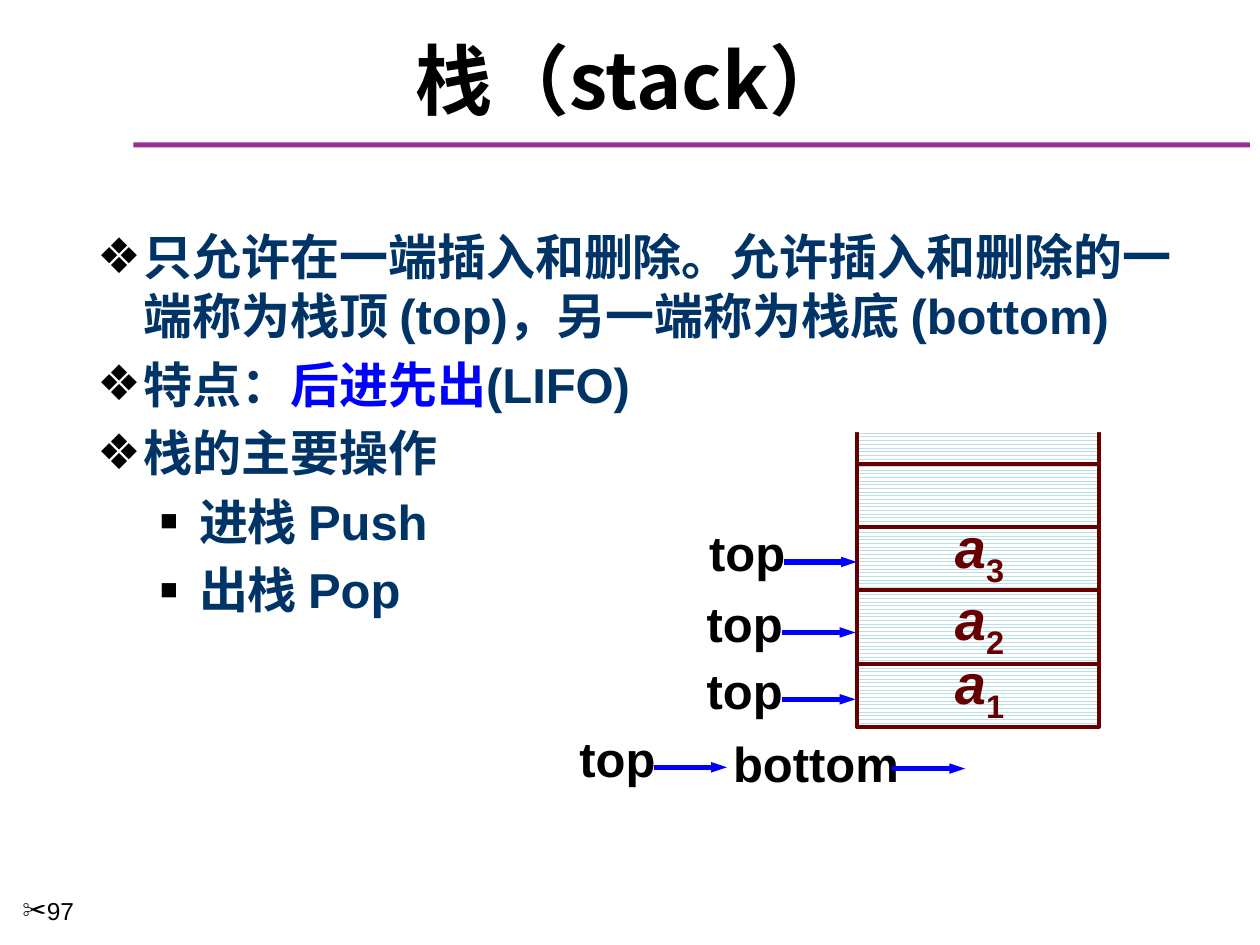
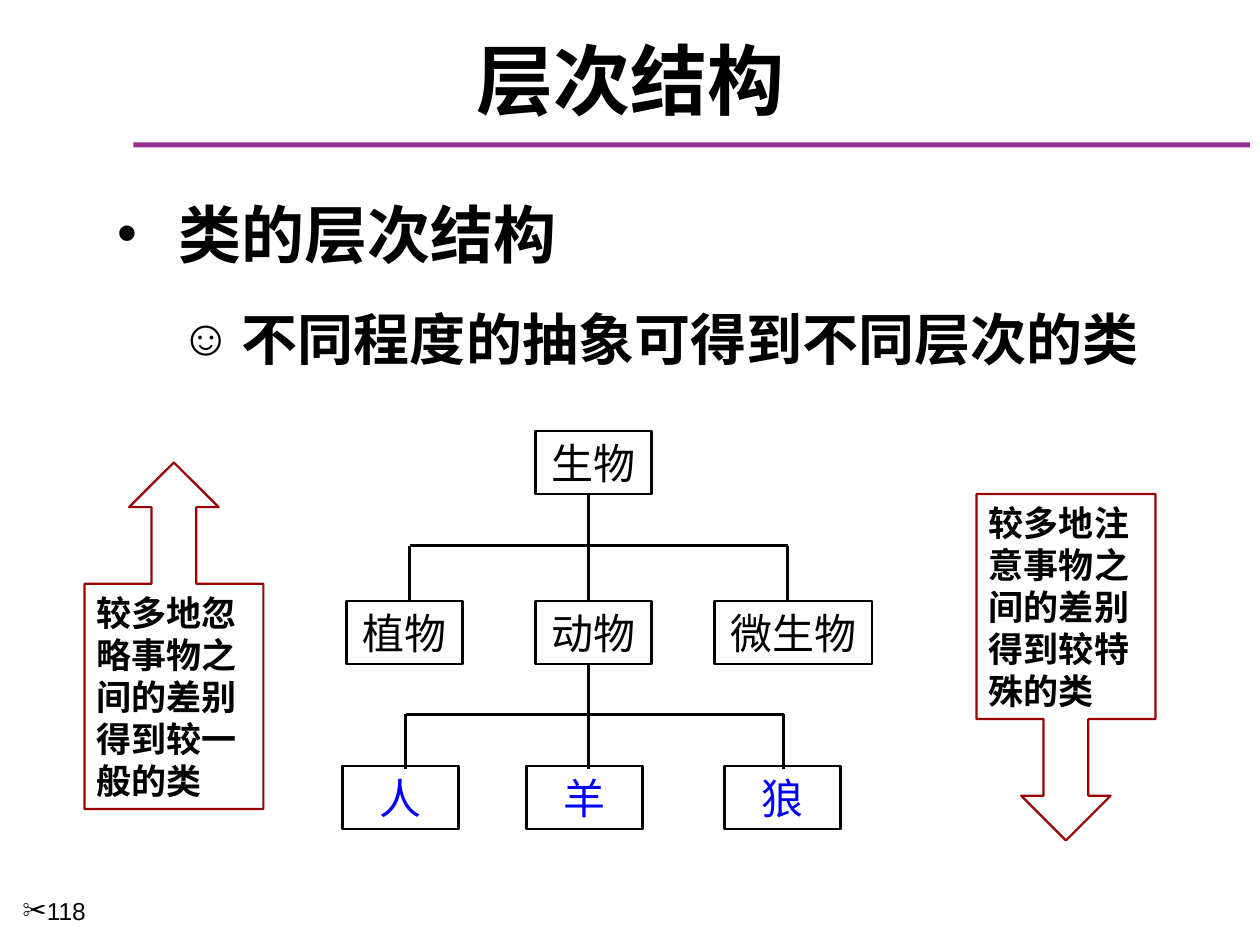
from dataclasses import dataclass

import pptx
import pptx.dml.color
import pptx.enum.dml
import pptx.enum.shapes
import pptx.enum.text
import pptx.oxml
import pptx.oxml.ns
import pptx.util
from pptx.util import Inches

COLORS = {
    "black": "000000",
    "white": "FFFFFF",
    "rule": "973095",
    "navy": "003366",
    "blue": "0000FF",
    "maroon": "660000",
    "pattern": "BBE0E3",
    "callout": "990000",
}
LATIN = "Arial"
HAN = "Noto Sans CJK SC"
LINE_FACTOR = 1.2
SHAPES = pptx.enum.shapes.MSO_SHAPE
ANCHOR = pptx.enum.text.MSO_ANCHOR
ALIGN = pptx.enum.text.PP_ALIGN


@dataclass
class Span:
    text: str
    size: float
    color: str = "black"
    font: str = LATIN
    bold: bool = True
    italic: bool = False
    subscript: bool = False


@dataclass
class Bullet:
    char: str
    percent: int
    margin: float
    hanging: float
    level: int = 0


@dataclass
class Item:
    bullet: Bullet
    spans: list[Span]
    before: float


@dataclass
class Node:
    text: str
    left: float
    top: float
    width: float = 0.92
    color: str = "black"


@dataclass
class Branch:
    top: float
    bar: float
    bottom: float
    columns: tuple[float, float, float]


@dataclass
class Pointer:
    text: str
    left: float
    top: float
    start: float
    level: float


def rgb(name: str) -> pptx.dml.color.RGBColor:
    return pptx.dml.color.RGBColor.from_string(COLORS[name])


def add_child(parent, tag: str, **attributes):
    child = pptx.oxml.parse_xml(f'<a:{tag} {pptx.oxml.ns.nsdecls("a")}/>')
    for key, value in attributes.items():
        child.set(key, value)
    parent.append(child)
    return child


def fill_paragraph(para, spans: list[Span]) -> None:
    for span in spans:
        run = para.add_run()
        run.text = span.text
        font = run.font
        font.name, font.size = span.font, pptx.util.Pt(span.size)
        font.bold, font.italic = span.bold, span.italic
        font.color.rgb = rgb(span.color)
        properties = run._r.get_or_add_rPr()
        add_child(properties, "ea", typeface=HAN)
        if span.subscript:
            properties.set("baseline", "-25000")


def set_bullet(para, bullet: Bullet) -> None:
    para.level = bullet.level
    properties = para._p.get_or_add_pPr()
    properties.set("marL", str(Inches(bullet.margin)))
    properties.set("indent", str(Inches(-bullet.hanging)))
    color = add_child(properties, "buClr")
    add_child(color, "srgbClr", val=COLORS["black"])
    add_child(properties, "buSzPct", val=str(bullet.percent * 1000))
    add_child(properties, "buFont", typeface=LATIN)
    add_child(properties, "buChar", char=bullet.char)


def set_line_height(para, size: float) -> None:
    para.line_spacing = pptx.util.Pt(size * LINE_FACTOR)


def place(shape, left: float, top: float, width: float, height: float) -> None:
    shape.left, shape.top = Inches(left), Inches(top)
    shape.width, shape.height = Inches(width), Inches(height)


def add_text(page, left: float, top: float, width: float, height: float, spans: list[Span]):
    box = page.shapes.add_textbox(Inches(left), Inches(top), Inches(width), Inches(height))
    box.text_frame.word_wrap = False
    para = box.text_frame.paragraphs[0]
    fill_paragraph(para, spans)
    return para


def add_block(page, kind, left: float, top: float, width: float, height: float,
              fill: str = "", line: str = "", weight: float = 1):
    shape = page.shapes.add_shape(kind, Inches(left), Inches(top), Inches(width), Inches(height))
    shape.shadow.inherit = False
    if fill:
        shape.fill.solid()
        shape.fill.fore_color.rgb = rgb(fill)
    else:
        shape.fill.background()
    if line:
        shape.line.color.rgb = rgb(line)
        shape.line.width = pptx.util.Pt(weight)
    else:
        shape.line.fill.background()
    return shape


def label_block(shape, span: Span, align, wrap: bool) -> None:
    frame = shape.text_frame
    frame.word_wrap = wrap
    frame.vertical_anchor = ANCHOR.MIDDLE
    para = frame.paragraphs[0]
    para.alignment = align
    fill_paragraph(para, [span])
    set_line_height(para, span.size)


def add_line(page, start: tuple[float, float], end: tuple[float, float],
             color: str, weight: float, arrow: bool = False) -> None:
    line = page.shapes.add_connector(
        pptx.enum.shapes.MSO_CONNECTOR.STRAIGHT, *map(Inches, start + end))
    line.line.color.rgb = rgb(color)
    line.line.width = pptx.util.Pt(weight)
    if arrow:
        add_child(line.line._get_or_add_ln(), "tailEnd", type="triangle", w="sm", len="med")
    add_child(line._element.spPr, "effectLst")


def add_page(deck, title: str, number: str):
    page = deck.slides.add_slide(deck.slide_layouts[1])
    add_block(page, SHAPES.RECTANGLE, 1.06, 1.13, 8.86, 0.04, fill="rule")
    heading = page.shapes.title
    place(heading, 0.17, 0.25, 9.67, 0.75)
    frame = heading.text_frame
    frame.auto_size = pptx.enum.text.MSO_AUTO_SIZE.NONE
    frame.vertical_anchor = ANCHOR.MIDDLE
    frame.paragraphs[0].alignment = ALIGN.CENTER
    fill_paragraph(frame.paragraphs[0], [Span(title, 44, font=HAN)])
    footer = add_text(page, 0.08, 7.06, 1.08, 0.44, [Span(number, 14, bold=False)])
    set_bullet(footer, Bullet("✂", 100, 0, 0))
    return page


def fill_list(page, area: tuple[float, float, float, float], items: list[Item]) -> None:
    body = page.placeholders[1]
    place(body, *area)
    frame = body.text_frame
    frame.auto_size = pptx.enum.text.MSO_AUTO_SIZE.NONE
    for index, item in enumerate(items):
        para = frame.add_paragraph() if index else frame.paragraphs[0]
        set_bullet(para, item.bullet)
        fill_paragraph(para, item.spans)
        para.space_before = pptx.util.Pt(item.before if index else 0)
        set_line_height(para, item.spans[0].size)


def build_stack(deck) -> None:
    page = add_page(deck, "栈（stack）", "97")
    diamond = Bullet("❖", 100, 0.37, 0.37)
    square = Bullet("■", 60, 0.81, 0.31, 1)
    entries = [
        (diamond, [("只允许在一端插入和删除。允许插入和删除的一端称为栈顶 (top)，另一端称为栈底 (bottom)", "navy")]),
        (diamond, [("特点：", "navy"), ("后进先出", "blue"), ("(LIFO)", "navy")]),
        (diamond, [("栈的主要操作", "navy")]),
        (square, [("进栈 Push", "navy")]),
        (square, [("出栈 Pop", "navy")]),
    ]
    fill_list(page, (0.67, 1.75, 8.75, 3.25), [
        Item(bullet, [Span(text, 28, color) for text, color in parts], 5.6)
        for bullet, parts in entries])

    left, right = 6.8, 8.72
    stack = add_block(page, SHAPES.RECTANGLE, left, 3.35, right - left, 2.42,
                      line="maroon", weight=2.25)
    stack.fill.patterned()
    stack.fill.pattern = pptx.enum.dml.MSO_PATTERN.ZIG_ZAG
    stack.fill.fore_color.rgb = rgb("pattern")
    stack.fill.back_color.rgb = rgb("white")
    add_block(page, SHAPES.RECTANGLE, 6.39, 3.18, 2.42, 0.25, fill="white")
    for divider in (3.68, 4.18, 4.68, 5.27):
        add_line(page, (left, divider), (right, divider), "maroon", 2.25)
    for index, top in enumerate((5.1, 4.59, 4.02), start=1):
        add_text(page, 7.48, top, 0.62, 0.64, [
            Span("a", 32, "maroon", italic=True),
            Span(str(index), 32, "maroon", subscript=True)])

    pointers = [
        Pointer("top", 5.53, 4.1, 6.22, 4.46),
        Pointer("top", 5.51, 4.66, 6.21, 5.02),
        Pointer("top", 5.51, 5.19, 6.21, 5.55),
        Pointer("top", 4.5, 5.73, 5.19, 6.09),
        Pointer("bottom", 5.72, 5.77, 7.08, 6.1),
    ]
    for pointer in pointers:
        width = 0.81 if pointer.text == "top" else 1.53
        add_text(page, pointer.left, pointer.top, width, 0.57, [Span(pointer.text, 28)])
        add_line(page, (pointer.start, pointer.level), (pointer.start + 0.58, pointer.level),
                 "blue", 3, arrow=True)


def build_hierarchy(deck) -> None:
    page = add_page(deck, "层次结构", "118")
    fill_list(page, (0.83, 1.5, 8.42, 5.42), [
        Item(Bullet("•", 90, 0.49, 0.49), [Span("类的层次结构", 36, font=HAN)], 0),
        Item(Bullet("☺", 90, 0.99, 0.49, 1),
             [Span("不同程度的抽象可得到不同层次的类", 32, font=HAN)], 19.2),
    ])

    nodes = [
        Node("生物", 4.25, 3.42),
        Node("植物", 2.75, 4.77),
        Node("动物", 4.25, 4.77),
        Node("微生物", 5.67, 4.77, width=1.25),
        Node("人", 2.72, 6.08, color="blue"),
        Node("羊", 4.18, 6.08, color="blue"),
        Node("狼", 5.75, 6.08, color="blue"),
    ]
    for node in nodes:
        box = add_block(page, SHAPES.RECTANGLE, node.left, node.top, node.width, 0.5,
                        line="black", weight=1.5)
        label_block(box, Span(node.text, 24, node.color, bold=False), ALIGN.CENTER, False)

    branches = [
        Branch(3.91, 4.33, 4.77, (3.25, 4.67, 6.25)),
        Branch(5.27, 5.67, 6.1, (3.22, 4.67, 6.22)),
    ]
    for branch in branches:
        first, trunk, last = branch.columns
        add_line(page, (first, branch.bar), (last, branch.bar), "black", 1.5)
        add_line(page, (trunk, branch.top), (trunk, branch.bar), "black", 1.5)
        for column in branch.columns:
            add_line(page, (column, branch.bar), (column, branch.bottom), "black", 1.5)

    callouts = [
        (SHAPES.UP_ARROW_CALLOUT, 0.67, 3.67, "较多地忽略事物之间的差别得到较一般的类"),
        (SHAPES.DOWN_ARROW_CALLOUT, 7.75, 3.92, "较多地注意事物之间的差别得到较特殊的类"),
    ]
    for kind, left, top, text in callouts:
        callout = add_block(page, kind, left, top, 1.42, 2.75, line="callout", weight=1.25)
        label_block(callout, Span(text, 20, font=HAN), ALIGN.LEFT, True)


def main() -> None:
    deck = pptx.Presentation()
    deck.slide_width, deck.slide_height = Inches(10), Inches(7.5)
    build_stack(deck)
    build_hierarchy(deck)
    deck.save("out.pptx")


if __name__ == "__main__":
    main()
